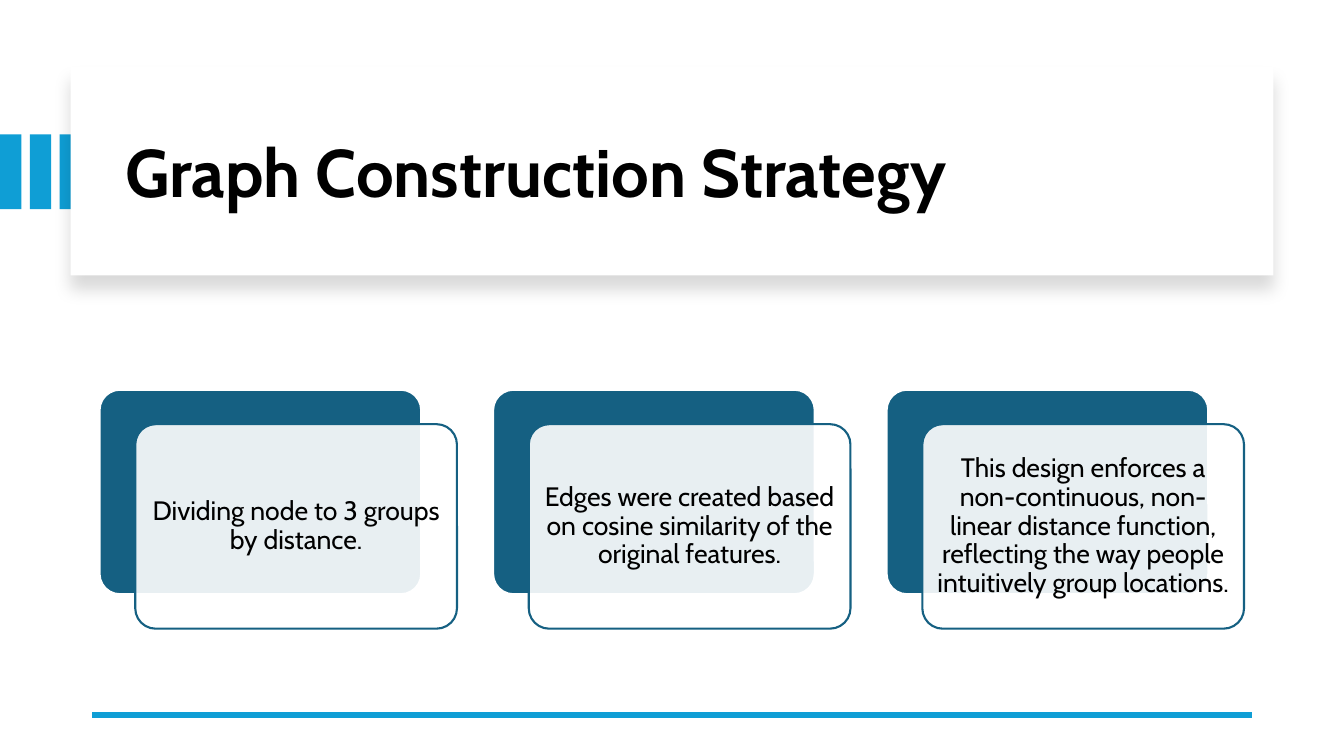
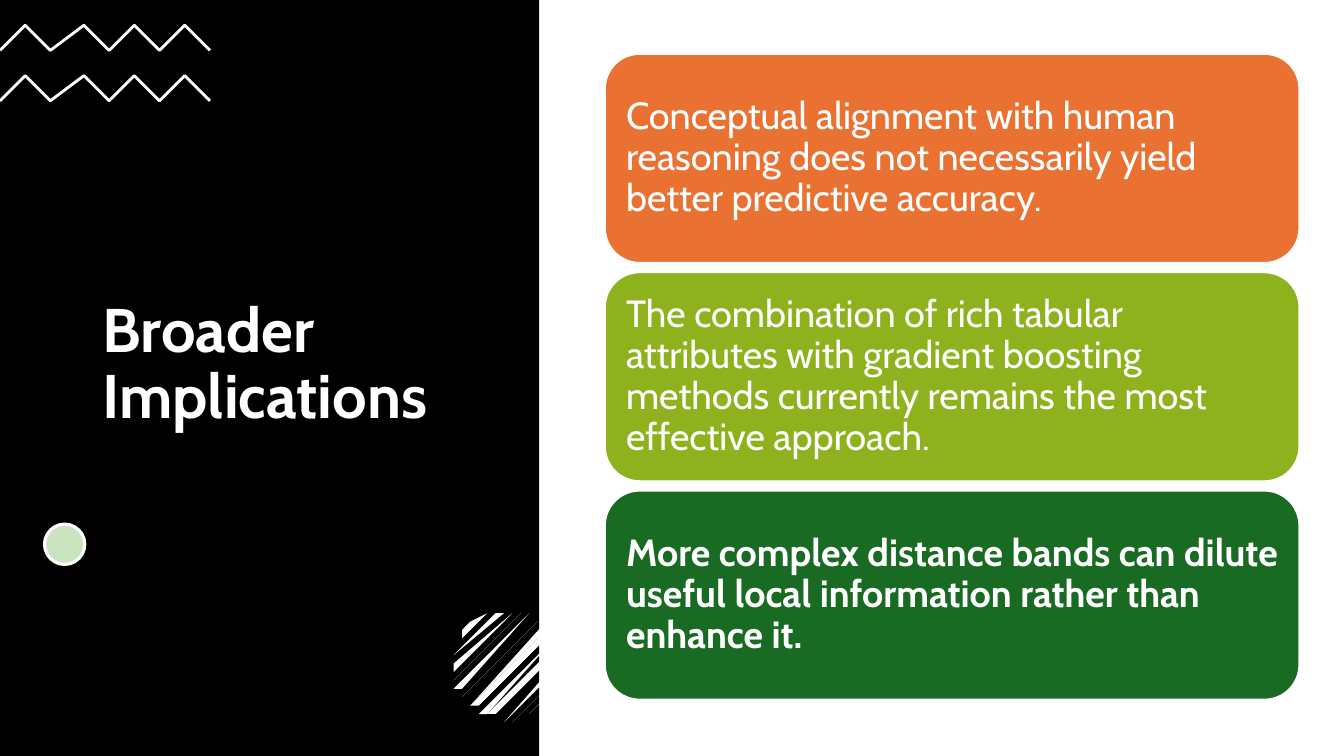
from dataclasses import dataclass
from math import sqrt

from lxml.etree import SubElement
from pptx import Presentation
from pptx.dml.color import RGBColor as Color
from pptx.enum.shapes import MSO_CONNECTOR as Connector, MSO_SHAPE as Preset
from pptx.enum.text import MSO_ANCHOR as Anchor, MSO_AUTO_SIZE as AutoSize, PP_ALIGN as Align
from pptx.oxml.ns import qn
from pptx.util import Emu, Inches, Pt


@dataclass(frozen=True)
class Theme:
    font: str = "Cabin"
    black: Color = Color.from_string("000000")
    white: Color = Color.from_string("FFFFFF")
    sky: Color = Color.from_string("0F9ED5")
    petrol: Color = Color.from_string("156082")
    orange: Color = Color.from_string("E97132")
    lime: Color = Color.from_string("8EB21E")
    forest: Color = Color.from_string("196B24")
    mint: Color = Color.from_string("CAE4C0")
    wide_title: int = 48
    side_title: int = 44
    step_text: int = 19
    finding_text: int = 27


COLUMNS, ROWS = 160, 90
CELL = Inches(7.5) / ROWS
theme = Theme()


def add_panel(page, preset, area, fill, line=None, weight=1.5):
    panel = page.shapes.add_shape(preset, *[Emu(round(cells * CELL)) for cells in area])
    panel.shadow.inherit = False
    panel.fill.solid()
    panel.fill.fore_color.rgb = fill
    if line is None:
        panel.line.fill.background()
    else:
        panel.line.color.rgb = line
        panel.line.width = Pt(weight)
    return panel


def write(box, text, size, color, bold=False, align=Align.LEFT, inset=0.1):
    frame = box.text_frame
    frame.word_wrap = True
    frame.auto_size = AutoSize.NONE
    frame.vertical_anchor = Anchor.MIDDLE
    frame.margin_left = frame.margin_right = Inches(inset)
    frame.margin_top = frame.margin_bottom = Inches(inset)
    para = frame.paragraphs[0]
    para.text = text
    para.alignment = align
    para.line_spacing = 0.9
    para.font.name = theme.font
    para.font.size = Pt(size)
    para.font.bold = bold
    para.font.color.rgb = color


deck = Presentation()
deck.slide_width = Emu(round(COLUMNS * CELL))
deck.slide_height = Emu(round(ROWS * CELL))
title_only = deck.slide_layouts[5]
strategy = deck.slides.add_slide(title_only)
implications = deck.slides.add_slide(title_only)

for bar in range(3):
    add_panel(strategy, Preset.RECTANGLE, (bar * 3.55, 16, 2.55, 8.9), theme.sky)

banner = add_panel(strategy, Preset.RECTANGLE, (8.4, 8, 143.2, 24.8), theme.white)
shadow = SubElement(
    banner.element.spPr.find(qn("a:effectLst")),
    qn("a:outerShdw"),
    blurRad=str(Pt(11)),
    dist=str(Pt(10)),
    dir=str(90 * 60000),
    algn="t",
    rotWithShape="0",
)
shade = SubElement(shadow, qn("a:srgbClr"), val=str(theme.black))
SubElement(shade, qn("a:alpha"), val="15000")

rule = strategy.shapes.add_connector(
    Connector.STRAIGHT, *[Emu(round(cells * CELL)) for cells in (11, 85.1, 149, 85.1)]
)
rule.line.color.rgb = theme.sky
rule.line.width = Pt(4.5)
SubElement(rule.element.spPr, qn("a:effectLst"))

steps = [
    "Dividing node to 3 groups by distance.",
    "Edges were created based on cosine similarity of the original features.",
    "This design enforces a non-continuous, non-linear distance function, "
    "reflecting the way people intuitively group locations.",
]
for index, step in enumerate(steps):
    left, top, width, height = 11.85 + index * 46.85, 46.4, 38.3, 24.35
    back = add_panel(
        strategy, Preset.ROUNDED_RECTANGLE, (left, top, width, height), theme.petrol, theme.white
    )
    front = add_panel(
        strategy,
        Preset.ROUNDED_RECTANGLE,
        (left + 4.25, top + 4.1, width, height),
        theme.white,
        theme.petrol,
    )
    back.adjustments[0] = front.adjustments[0] = 0.1
    tint = front.element.spPr.find(qn("a:solidFill"))[0]
    SubElement(tint, qn("a:alpha"), val="90000")
    write(front, step, theme.step_text, theme.black, align=Align.CENTER, inset=0.08)

add_panel(implications, Preset.RECTANGLE, (0, 0, 64.2, ROWS), theme.black)

for top in (2.88, 8.64):
    peaks = [(0.15 + 3.13 * turn, top + 3.12 * (1 - turn % 2)) for turn in range(9)]
    outline = implications.shapes.build_freeform(*peaks[0], scale=CELL)
    outline.add_line_segments(peaks[1:], close=False)
    zigzag = outline.convert_to_shape()
    zigzag.shadow.inherit = False
    zigzag.fill.background()
    zigzag.line.color.rgb = theme.white
    zigzag.line.width = Pt(2)

add_panel(implications, Preset.OVAL, (5.3, 62.4, 4.8, 4.8), theme.mint, theme.white, 2.25)

center_x, center_y, radius = 60.35, 79.1, 6.45
for stripe in range(-6, 7):
    near, far = stripe * 1.04 - 0.15, stripe * 1.04 + 0.15
    corners = []
    for offset, side in ((near, 1), (far, 1), (far, -1), (near, -1)):
        reach = side * sqrt(radius**2 - offset**2)
        corners.append(
            (center_x + (offset + reach) / sqrt(2), center_y + (offset - reach) / sqrt(2))
        )
    outline = implications.shapes.build_freeform(*corners[0], scale=CELL)
    outline.add_line_segments(corners[1:])
    hatch = outline.convert_to_shape()
    hatch.shadow.inherit = False
    hatch.fill.solid()
    hatch.fill.fore_color.rgb = theme.white
    hatch.line.fill.background()

findings = [
    (
        "Conceptual alignment with human reasoning does not necessarily yield "
        "better predictive accuracy.",
        theme.orange,
        False,
    ),
    (
        "The combination of rich tabular attributes with gradient boosting methods "
        "currently remains the most effective approach.",
        theme.lime,
        False,
    ),
    (
        "More complex distance bands can dilute useful local information "
        "rather than enhance it.",
        theme.forest,
        True,
    ),
]
for index, (finding, fill, bold) in enumerate(findings):
    card = add_panel(
        implications,
        Preset.ROUNDED_RECTANGLE,
        (72, 6.4 + index * 26, 82.7, 24.9),
        fill,
        theme.white,
    )
    write(card, finding, theme.finding_text, theme.white, bold, inset=0.11)

titles = [
    (strategy, "Graph Construction Strategy", (13.7, 10.7, 133.6, 20.4), theme.wide_title, theme.black),
    (implications, "Broader Implications", (11, 15.7, 42, 55.6), theme.side_title, theme.white),
]
for page, text, area, size, color in titles:
    title = page.shapes.title
    title.left, title.top, title.width, title.height = [Emu(round(cells * CELL)) for cells in area]
    write(title, text, size, color, bold=True)
    title.element.getparent().append(title.element)

deck.save("out.pptx")
